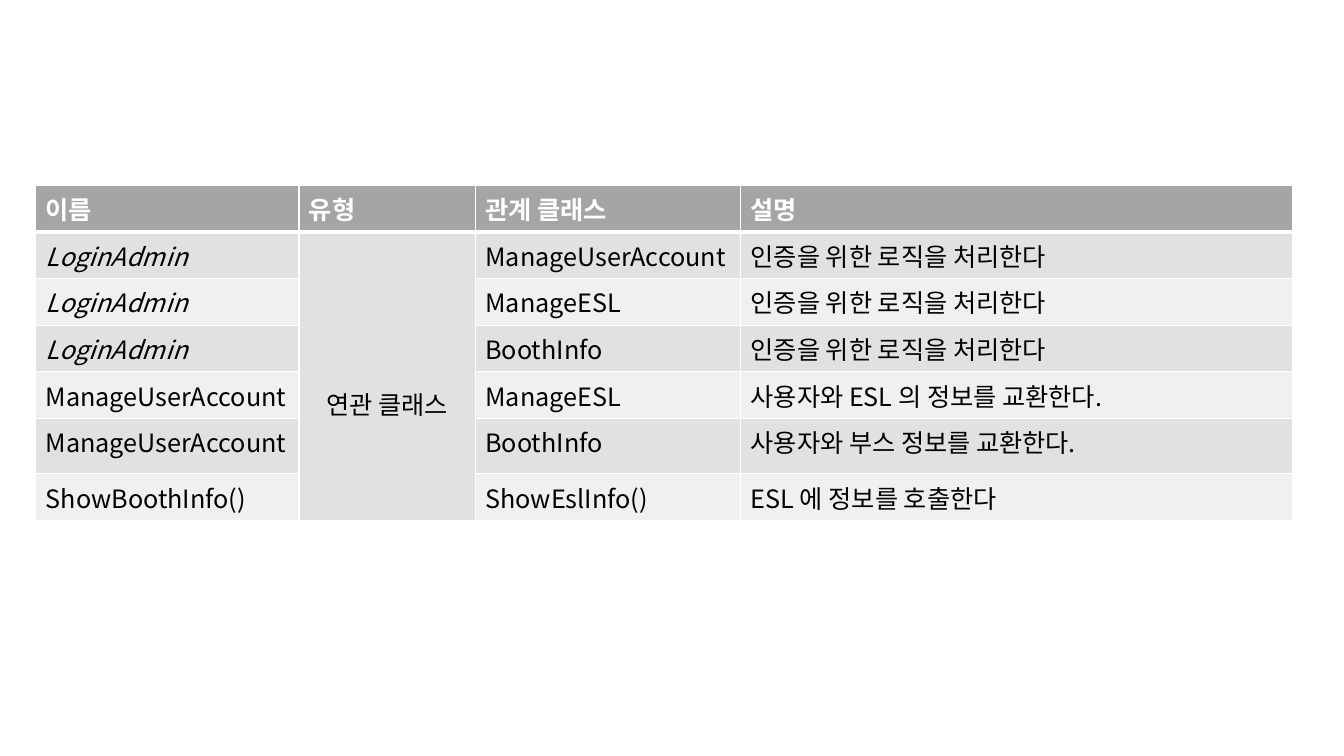
from lxml.etree import SubElement
from pptx import Presentation
from pptx.dml.color import RGBColor
from pptx.enum.text import MSO_ANCHOR, PP_ALIGN
from pptx.oxml.ns import qn
from pptx.util import Pt

FONT = "Noto Sans CJK KR"
WHITE, BLACK = "FFFFFF", "000000"
HEADER_FILL, DARK_BAND, LIGHT_BAND = "A5A5A5", "E1E1E1", "F0F0F0"


def paint(color_format, value):
    color_format.rgb = RGBColor.from_string(value)


def add_border(cell, side, width):
    line = SubElement(cell._tc.get_or_add_tcPr(), qn(f"a:{side}"), w=str(Pt(width)))
    fill = SubElement(line, qn("a:solidFill"))
    SubElement(fill, qn("a:srgbClr"), val=WHITE)


rows = [
    ("이름", "유형", "관계 클래스", "설명"),
    ("LoginAdmin", "연관 클래스", "ManageUserAccount", "인증을 위한 로직을 처리한다"),
    ("LoginAdmin", "", "ManageESL", "인증을 위한 로직을 처리한다"),
    ("LoginAdmin", "", "BoothInfo", "인증을 위한 로직을 처리한다"),
    ("ManageUserAccount", "", "ManageESL", "사용자와 ESL 의 정보를 교환한다."),
    ("ManageUserAccount", "", "BoothInfo", "사용자와 부스 정보를 교환한다."),
    ("ShowBoothInfo()", "", "ShowEslInfo()", "ESL 에 정보를 호출한다"),
]
column_widths = [188, 126, 189.5, 394]
row_heights = [32, 32.5, 32.5, 32.5, 32.5, 39.5, 32.5]

deck = Presentation()
deck.slide_width, deck.slide_height = Pt(960), Pt(540)
page = deck.slides.add_slide(deck.slide_layouts[6])

table = page.shapes.add_table(
    len(rows), len(column_widths), Pt(25.5), Pt(132.5),
    Pt(sum(column_widths)), Pt(sum(row_heights)),
).table
for column, width in zip(table.columns, column_widths):
    column.width = Pt(width)
for row, height in zip(table.rows, row_heights):
    row.height = Pt(height)

for row_index, texts in enumerate(rows):
    is_header = row_index == 0
    band = DARK_BAND if row_index % 2 else LIGHT_BAND
    for column_index, text in enumerate(texts):
        cell = table.cell(row_index, column_index)
        for side in ("lnL", "lnR", "lnT", "lnB"):
            add_border(cell, side, 3 if is_header and side == "lnB" else 1)
        cell.fill.solid()
        paint(cell.fill.fore_color, HEADER_FILL if is_header else band)
        if not text:
            continue
        cell.text = text
        font = cell.text_frame.paragraphs[0].font
        font.size, font.name = Pt(18), FONT
        font.bold = is_header
        font.italic = text == "LoginAdmin"
        font.fill.solid()
        paint(font.color, WHITE if is_header else BLACK)
        SubElement(font._element, qn("a:ea"), typeface=FONT)

type_cell = table.cell(1, 1)
type_cell.merge(table.cell(len(rows) - 1, 1))
type_cell.vertical_anchor = MSO_ANCHOR.MIDDLE
type_cell.margin_top = Pt(42)
type_cell.text_frame.paragraphs[0].alignment = PP_ALIGN.CENTER

deck.save("out.pptx")
